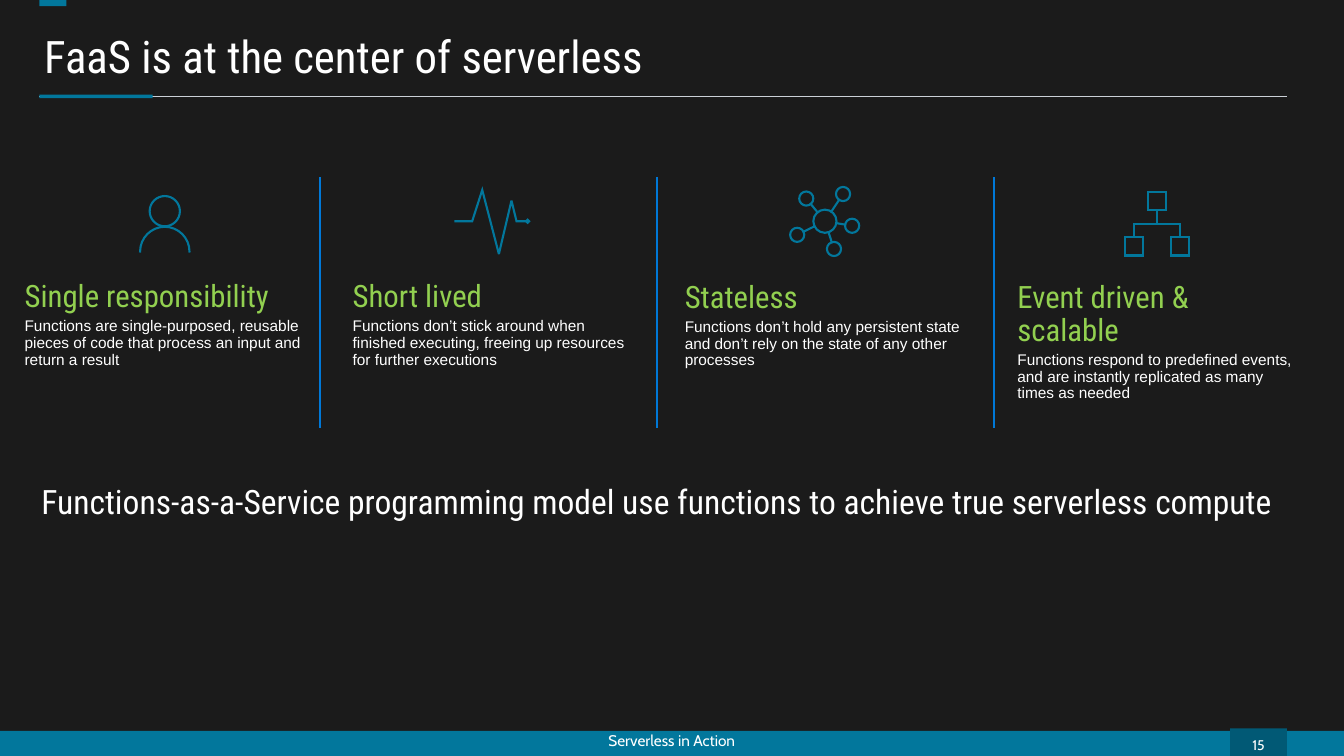
"""Build the slide on FaaS as the center of serverless."""
from math import hypot
from pptx import Presentation
from pptx.dml.color import RGBColor as Rgb
from pptx.enum.shapes import MSO_CONNECTOR as Link, MSO_SHAPE as Kind
from pptx.enum.text import MSO_ANCHOR as Anchor, MSO_AUTO_SIZE as Fit, PP_ALIGN as Align
from pptx.oxml.ns import qn
from pptx.util import Inches, Pt
from lxml.etree import SubElement

HUE = {"back": "1B1B1B", "teal": "02779C", "deep": "015975", "rule": "CBD0D7",
       "blue": "0078D7", "green": "92D050", "white": "FFFFFF"}
HEAD, BODY, FOOT = "Roboto Condensed", "Arial", "Cabin"


def add_text(area, rows, align=Align.LEFT, fit=Fit.SHAPE_TO_FIT_TEXT):
    box = slide.shapes.add_textbox(*[Inches(v) for v in area])
    frame = box.text_frame
    frame.word_wrap = True
    frame.auto_size = fit
    frame.text = "\n".join(row[0] for row in rows)
    for para, (_, size, face, hue) in zip(frame.paragraphs, rows):
        para.alignment = align
        font = para.runs[0].font
        font.size, font.name = Pt(size), face
        font.color.rgb = Rgb.from_string(HUE[hue])
    return frame


def ring(x, y, r, turns=4):
    k = 0.55
    spots = [(-1, 0), (-1, -k), (-k, -1), (0, -1), (k, -1), (1, -k), (1, 0),
             (1, k), (k, 1), (0, 1), (-k, 1), (-1, k), (-1, 0)]
    return True, [(x + r * a, y + r * b) for a, b in spots[:3 * turns + 1]]


deck = Presentation()
deck.slide_width, deck.slide_height = Inches(26.67), Inches(15)
slide = deck.slides.add_slide(deck.slide_layouts[6])
slide.background.fill.solid()
slide.background.fill.fore_color.rgb = Rgb.from_string(HUE["back"])

lines = []
for x1, y1, x2, y2, hue, wide in [(0.78, 1.92, 25.54, 1.92, "rule", 1.5)] + [
        (6.35 + 6.69 * i, 3.51, 6.35 + 6.69 * i, 8.49, "blue", 3) for i in range(3)]:
    line = slide.shapes.add_connector(
        Link.STRAIGHT, Inches(x1), Inches(y1), Inches(x2), Inches(y2))
    line.line.color.rgb = Rgb.from_string(HUE[hue])
    line.line.width = Pt(wide)
    SubElement(line._element.spPr, qn("a:effectLst"))
    lines.append(line)

bars = []
for *area, hue in [(0, 14.5, 26.67, 0.5, "teal"), (0.78, 1.88, 2.25, 0.07, "teal"),
                   (24.41, 14.45, 1.13, 0.55, "deep"), (0.78, 0, 0.54, 0.12, "teal")]:
    bar = slide.shapes.add_shape(Kind.RECTANGLE, *[Inches(v) for v in area])
    bar.shadow.inherit = False
    bar.fill.solid()
    bar.fill.fore_color.rgb = Rgb.from_string(HUE[hue])
    bar.line.fill.background()
    bars.append(bar)
lines[0].begin_connect(bars[1], 1)
lines[0].end_y = lines[0].begin_y

add_text((11.25, 14.46, 4.16, 0.47),
         [("Serverless in Action", 22, FOOT, "white")], Align.CENTER)
title = add_text((0.78, 0.59, 24.76, 1.04),
                 [("FaaS is at the center of serverless", 64, HEAD, "white")], fit=Fit.NONE)
title.vertical_anchor = Anchor.MIDDLE
title.paragraphs[0].space_after = Pt(12)
page = add_text((24.46, 14.51, 1.03, 0.49), [("15", 20, FOOT, "white")], Align.CENTER, Fit.NONE)
page.margin_left = page.margin_right = Inches(0.2)
page.margin_top = page.margin_bottom = Inches(0.1)
add_text((0.32, 9.5, 25.44, 0.91),
         [("Functions-as-a-Service programming model use functions to achieve "
           "true serverless compute", 48, HEAD, "white")], Align.CENTER)

for left, top, name, note in [
        (0.39, 5.53, "Single responsibility", "Functions are single-purposed, reusable "
         "pieces of code that process an input and return a result"),
        (6.9, 5.53, "Short lived", "Functions don’t stick around when finished "
         "executing, freeing up resources for further executions"),
        (13.49, 5.54, "Stateless", "Functions don’t hold any persistent state and "
         "don’t rely on the state of any other processes"),
        (20.09, 5.54, "Event driven & scalable", "Functions respond to predefined events, "
         "and are instantly replicated as many times as needed")]:
    frame = add_text((left, top, 5.75, 1.85),
                     [(name, 44, HEAD, "green"), (note, 22, BODY, "white")])
    for para, gap in zip(frame.paragraphs, (6, 3)):
        para.line_spacing = 0.9
        para.space_after = Pt(gap)

person = [ring(3.27, 4.19, 0.3), ring(3.27, 4.99, 0.49, 2)]

pulse = [(False, [(9.04, 4.39), (9.37, 4.39), (9.57, 3.77), (9.9, 5.04), (10.15, 3.98),
                  (10.25, 4.39), (10.45, 4.39)]), ring(10.47, 4.39, 0.03)]

hub_x, hub_y, hub_r, node_r = 16.37, 4.39, 0.23, 0.14
mesh = [ring(hub_x, hub_y, hub_r)]
for x, y in [(16.73, 3.85), (16, 3.94), (15.82, 4.66), (16.55, 4.94), (16.91, 4.48)]:
    span = hypot(x - hub_x, y - hub_y)
    dx, dy = (x - hub_x) / span, (y - hub_y) / span
    mesh += [ring(x, y, node_r), (False, [(hub_x + dx * hub_r, hub_y + dy * hub_r),
                                          (x - dx * node_r, y - dy * node_r)])]

side = 0.36
tree = [(False, [(x, y), (x + side, y), (x + side, y + side), (x, y + side), (x, y)])
        for x, y in [(22.33, 4.71), (23.23, 4.71), (22.78, 3.81)]]
tree += [(False, [(22.96, 4.17), (22.96, 4.44)]),
         (False, [(23.41, 4.71), (23.41, 4.44), (22.51, 4.44), (22.51, 4.71)])]

for icon in (person, pulse, mesh, tree):
    pen = None
    for _, part in icon:
        first, *rest = [(Inches(x), Inches(y)) for x, y in part]
        if pen is None:
            pen = slide.shapes.build_freeform(*first)
        else:
            pen.move_to(*first)
        pen.add_line_segments(rest, close=False)
    shape = pen.convert_to_shape()
    shape.shadow.inherit = False
    shape.fill.background()
    shape.line.color.rgb = Rgb.from_string(HUE["teal"])
    shape.line.width = Pt(3)
    edge = shape._element.spPr.find(qn("a:ln"))
    edge.set("cap", "sq")
    SubElement(edge, qn("a:miter"), lim="800000")

    trail = shape._element.spPr.find(".//" + qn("a:path"))
    steps = list(trail)
    for curved, part in icon:
        now, steps = steps[:len(part)], steps[len(part):]
        for i in range(1, len(now) if curved else 0, 3):
            bend = SubElement(trail, qn("a:cubicBezTo"))
            trail.replace(now[i], bend)
            for step in now[i:i + 3]:
                bend.append(step[0])
            for step in now[i + 1:i + 3]:
                trail.remove(step)

deck.save("out.pptx")
